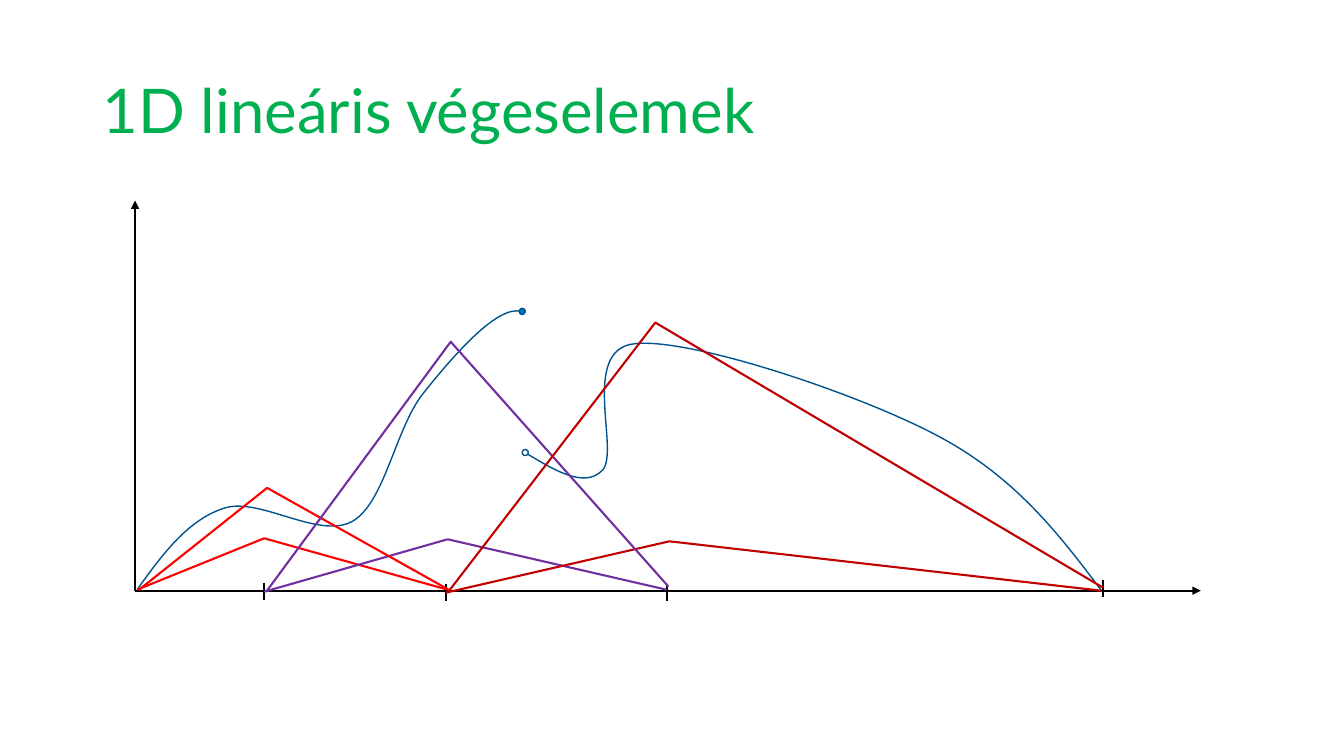
import pptx
import pptx.util
import pptx.dml.color
import pptx.enum.shapes
import pptx.enum.text
import pptx.oxml.ns
from lxml import etree

Inches = pptx.util.Inches
Pt = pptx.util.Pt
qn = pptx.oxml.ns.qn

BLACK, BLUE, RED, PURPLE, DARK_RED = "000000", "00538E", "FF0000", "7030A0", "C00000"

# Plot data in inches right of and above the axis origin
# Branches list a start, then two control points and an end per curve piece
LEFT_BRANCH = [(0.02, 0.01), (0.27, 0.36), (0.53, 0.71), (0.89, 0.82),
               (1.24, 0.93), (1.83, 0.5), (2.16, 0.69),
               (2.48, 0.88), (2.58, 1.61), (2.86, 1.96),
               (3.14, 2.31), (3.59, 2.84), (3.83, 2.77)]
RIGHT_BRANCH = [(3.85, 1.38), (4.15, 1.2), (4.45, 1.01), (4.63, 1.19),
                (4.82, 1.36), (4.4, 2.4), (4.96, 2.45),
                (5.51, 2.51), (7.19, 1.95), (7.97, 1.53),
                (8.74, 1.12), (9.17, 0.55), (9.6, -0.02)]
JUMP_ENDS = [((3.84, 2.77), "0070C0"), ((3.87, 1.37), "FFFFFF")]
NODES = [(1.28, 0.08), (3.08, 0.07), (5.28, 0.07), (9.6, 0.11)]  # x, tick top
HATS = [
    (RED, [(0.02, 0.01), (1.28, 0.52), (3.1, 0.01)]),
    (PURPLE, [(1.28, -0.01), (3.1, 0.51), (5.27, 0.01)]),
    (DARK_RED, [(3.08, -0.02), (5.3, 0.49), (9.58, 0)]),
    (RED, [(0.04, 0.01), (1.31, 1.02), (3.11, 0.01)]),
    (PURPLE, [(1.3, -0.01), (3.13, 2.47), (5.29, 0.04)]),
    (DARK_RED, [(3.1, -0.02), (5.16, 2.66), (9.6, 0.03)]),
]
TICK_LENGTH = 0.17
DOT_SIZE = 0.06


def color(hex_value):
    return pptx.dml.color.RGBColor.from_string(hex_value)


def set_line(shape, hex_value, width):
    shape.line.color.rgb = color(hex_value)
    shape.line.width = Pt(width)


def add_segment(slide, start, end, arrow=False):
    segment = slide.shapes.add_connector(
        pptx.enum.shapes.MSO_CONNECTOR.STRAIGHT,
        *(Inches(value) for value in (*start, *end)))
    set_line(segment, BLACK, 1.5)
    properties = segment.get_or_add_ln()
    if arrow:
        etree.SubElement(properties, qn("a:tailEnd"), type="triangle")
    etree.SubElement(properties.getparent(), qn("a:effectLst"))


def add_outline(slide, points, hex_value, width):
    start, *rest = [(Inches(x), Inches(y)) for x, y in points]
    builder = slide.shapes.build_freeform(*start)
    builder.add_line_segments(rest, close=False)
    outline = builder.convert_to_shape()
    outline.shadow.inherit = False
    outline.fill.background()
    set_line(outline, hex_value, width)
    return outline


def add_curve(slide, points, hex_value, width):
    """Draw the end points as an outline, then bend each piece into a Bézier."""
    curve = add_outline(slide, points[::3], hex_value, width)
    for index, piece in enumerate(list(curve.element.iter(qn("a:lnTo")))):
        piece.tag = qn("a:cubicBezTo")
        for position, (x, y) in enumerate(points[3 * index + 1:3 * index + 3]):
            control = etree.Element(qn("a:pt"), x=str(Inches(x) - curve.left),
                                    y=str(Inches(y) - curve.top))
            piece.insert(position, control)


def add_title(slide, left, top, width, height):
    title = slide.shapes.add_textbox(*map(Inches, (left, top, width, height)))
    frame = title.text_frame
    frame.word_wrap = True
    frame.vertical_anchor = pptx.enum.text.MSO_ANCHOR.MIDDLE
    paragraph = frame.paragraphs[0]
    paragraph.text = "1D lineáris végeselemek"
    paragraph.line_spacing = 0.9
    paragraph.font.name = "Lato"
    paragraph.font.size = Pt(44)
    paragraph.font.color.rgb = color("00B050")


def add_plot(slide, left, top, width, height):
    def place(point):
        return left + point[0], top + height - point[1]

    # Axes
    for axis_end in ((width, 0), (0, height)):
        add_segment(slide, place((0, 0)), place(axis_end), arrow=True)

    # Function with a jump
    for branch in (LEFT_BRANCH, RIGHT_BRANCH):
        add_curve(slide, [place(point) for point in branch], BLUE, 1)
    for center, fill in JUMP_ENDS:
        x, y = place(center)
        dot = slide.shapes.add_shape(
            pptx.enum.shapes.MSO_SHAPE.OVAL, Inches(x - DOT_SIZE / 2),
            Inches(y - DOT_SIZE / 2), Inches(DOT_SIZE), Inches(DOT_SIZE))
        dot.shadow.inherit = False
        dot.fill.solid()
        dot.fill.fore_color.rgb = color(fill)
        set_line(dot, BLUE, 1)

    # Node ticks
    for x, tick_top in NODES:
        add_segment(slide, place((x, tick_top)), place((x, tick_top - TICK_LENGTH)))

    # Unit and scaled hat functions
    for hat_color, corners in HATS:
        add_outline(slide, map(place, corners), hat_color, 1.5)


def main():
    deck = pptx.Presentation()
    deck.slide_width, deck.slide_height = Inches(13.33), Inches(7.5)
    slide = deck.slides.add_slide(deck.slide_layouts[6])
    add_title(slide, 0.92, 0.4, 11.5, 1.45)
    add_plot(slide, 1.34, 1.99, 10.57, 3.87)
    deck.save("out.pptx")


if __name__ == "__main__":
    main()
